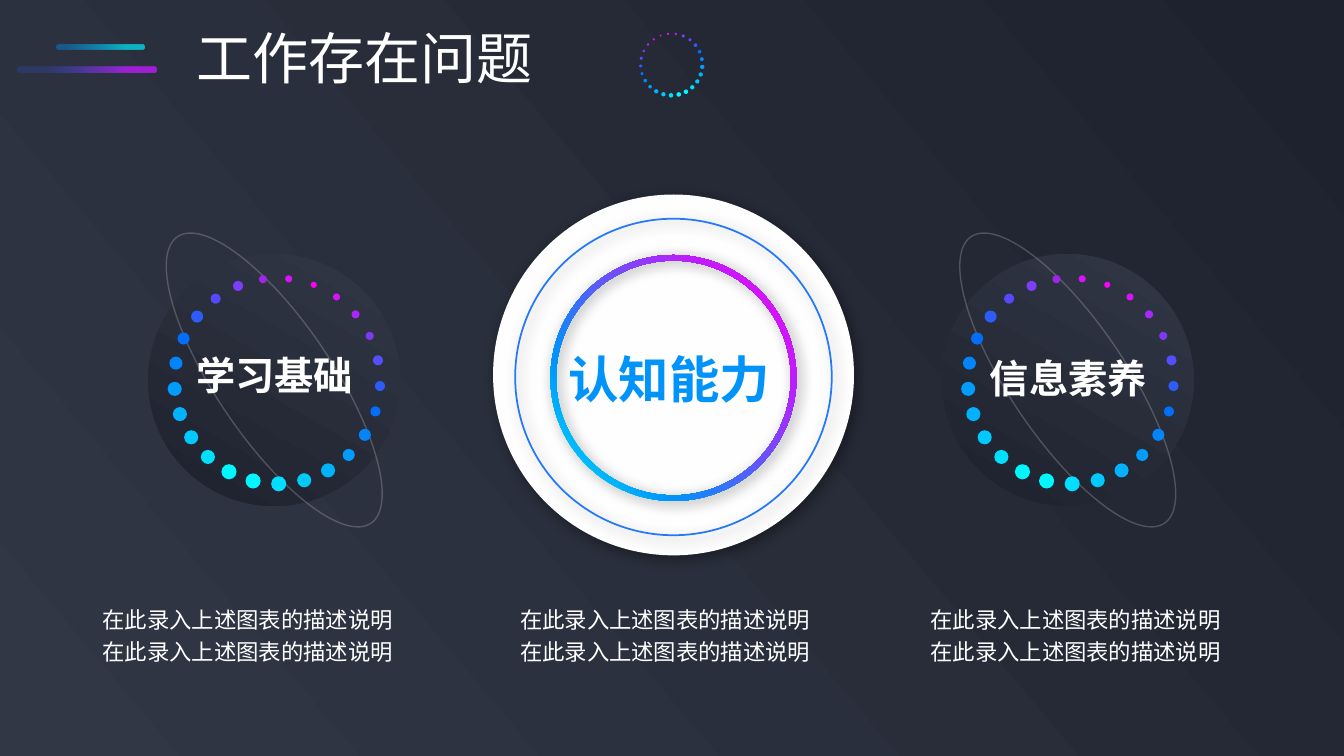
import math
from dataclasses import dataclass

import lxml.etree
import pptx
import pptx.dml.color
import pptx.enum.shapes
import pptx.enum.text
import pptx.oxml.ns
import pptx.util

Inches = pptx.util.Inches
Shape = pptx.enum.shapes.MSO_SHAPE
qn = pptx.oxml.ns.qn

TITLE = ("工作存在问题", (1.85, 0.18, 3.57, 0.77))
SIDE_LABELS = [("学习基础", (1.85, 3.44, 1.78, 0.57)),
               ("信息素养", (9.72, 3.47, 1.78, 0.57))]
CENTRE_LABEL = ("认知能力", (5.54, 3.4, 2.23, 0.71))
DESCRIPTION = "在此录入上述图表的描述说明" * 2
DESCRIPTION_LEFTS = [0.92, 5.06, 9.13]
PLANET_CENTRES = [(2.72, 3.77), (10.59, 3.77)]
DIAL_CENTRE = (6.68, 3.72)

# Dots of a ring in order: colour, diameter
DOTS = [
    ("01DEFF", 0.15), ("00F7FF", 0.15), ("00F7FF", 0.15), ("00DFFE", 0.14), ("01C9FD", 0.14),
    ("02B2FD", 0.14), ("029CFD", 0.14), ("0285FB", 0.13), ("036EFA", 0.12), ("2D5CFA", 0.12),
    ("5748FD", 0.1), ("7D3EFC", 0.1), ("9F26E7", 0.08), ("D813FB", 0.07), ("FC02F9", 0.06),
    ("D912FC", 0.07), ("AA27FB", 0.08), ("7F39F6", 0.08), ("564EFC", 0.1), ("2E5CFB", 0.1),
    ("026FF9", 0.1), ("0384FB", 0.12), ("029CFB", 0.12), ("02B2FD", 0.14), ("01C9FD", 0.14),
]
DOT_RADIUS = 1.02
DOT_START = 89.2


@dataclass(frozen=True)
class Theme:
    font: str = "Noto Sans CJK SC"
    white: str = "FFFFFF"
    disc: str = "FEFEFE"
    accent: str = "0094FA"
    inner_line: str = "2478FA"
    title_size: int = 40
    centre_size: int = 36
    side_size: int = 28
    body_size: int = 16
    # Gradient stops: position, colour, opacity
    night: tuple = ((0, "313745", 100), (100, "1E222E", 100))
    neon: tuple = ((0, "00ECFE", 100), (27, "0094FA", 100),
                   (76, "BE1DFB", 100), (100, "FC02F9", 100))
    cyan_bar: tuple = ((10, "0094FA", 40), (79, "00ECFE", 70))
    purple_bar: tuple = ((20, "3558FB", 20), (79, "BE1DFB", 80))


THEME = Theme()


def rgb(colour):
    return pptx.dml.color.RGBColor.from_string(colour)


def add_color(parent, colour, opacity):
    node = lxml.etree.SubElement(parent, qn("a:srgbClr"), val=colour)
    if opacity < 100:
        lxml.etree.SubElement(node, qn("a:alpha"), val=str(opacity * 1000))


def set_gradient(fill, properties, stops, angle):
    """Fill with a linear gradient; the angle is clockwise in degrees."""
    fill.gradient()
    gradient = properties.find(qn("a:gradFill"))
    for child in list(gradient):
        gradient.remove(child)
    stop_list = lxml.etree.SubElement(gradient, qn("a:gsLst"))
    for position, colour, opacity in stops:
        stop = lxml.etree.SubElement(stop_list, qn("a:gs"), pos=str(position * 1000))
        add_color(stop, colour, opacity)
    lxml.etree.SubElement(gradient, qn("a:lin"), ang=str(angle * 60000), scaled="0")


def add_figure(shapes, kind, center, width, height, fill=None, gradient=None, angle=0):
    x, y = center
    figure = shapes.add_shape(kind, Inches(x - width / 2), Inches(y - height / 2),
                              Inches(width), Inches(height))
    figure.shadow.inherit = False
    figure.line.fill.background()
    if gradient:
        set_gradient(figure.fill, figure._element.spPr, gradient, angle)
    elif fill:
        figure.fill.solid()
        figure.fill.fore_color.rgb = rgb(fill)
    else:
        figure.fill.background()
    return figure


def set_line(figure, colour, width, opacity=100):
    figure.line.width = pptx.util.Pt(width)
    figure.line.color.rgb = rgb(colour)
    if opacity < 100:
        color = figure.line._ln.find(".//" + qn("a:srgbClr"))
        lxml.etree.SubElement(color, qn("a:alpha"), val=str(opacity * 1000))


def cast_shadow(figure):
    effects = figure._element.spPr.find(qn("a:effectLst"))
    shadow = lxml.etree.SubElement(
        effects, qn("a:outerShdw"), blurRad=str(pptx.util.Pt(10)), dist=str(pptx.util.Pt(3)),
        dir=str(45 * 60000), algn="tl", rotWithShape="0")
    add_color(shadow, "000000", 40)


def draw_dot_ring(shapes, center, scale=1, direction=1):
    """Set the dots evenly round a circle; direction -1 mirrors the ring."""
    ring = shapes.add_group_shape()
    for index, (colour, diameter) in enumerate(DOTS):
        angle = math.radians(DOT_START + index * 360 / len(DOTS))
        dot_center = (center[0] + direction * scale * DOT_RADIUS * math.cos(angle),
                      center[1] + scale * DOT_RADIUS * math.sin(angle))
        add_figure(ring.shapes, Shape.OVAL, dot_center, diameter * scale, diameter * scale, colour)


def draw_planet(shapes, center):
    x, y = center
    add_figure(shapes, Shape.OVAL, center, 2.5, 2.5, gradient=THEME.night, angle=120)
    orbit = add_figure(shapes, Shape.OVAL, center, 1.15, 3.43)
    orbit.rotation = 326
    set_line(orbit, THEME.white, 1, 20)
    draw_dot_ring(shapes, (x + 0.03, y + 0.01))


def draw_dial(shapes, center):
    disc = add_figure(shapes, Shape.OVAL, center, 3.58, 3.58, THEME.disc)
    ring = add_figure(shapes, Shape.DONUT, (center[0], center[1] + 0.03), 2.44, 2.44,
                      gradient=THEME.neon, angle=320)
    ring.adjustments[0] = 0.023
    circle = add_figure(shapes, Shape.OVAL, (center[0], center[1] + 0.02), 3.14, 3.14)
    set_line(circle, THEME.inner_line, 1.25)
    for figure in (disc, ring, circle):
        cast_shadow(figure)


def write_text(box, text, place, size, colour=THEME.white, bold=False, wrap=False, spacing=None):
    box.left, box.top, box.width, box.height = map(Inches, place)
    frame = box.text_frame
    frame.word_wrap = wrap
    frame.auto_size = pptx.enum.text.MSO_AUTO_SIZE.SHAPE_TO_FIT_TEXT
    frame.vertical_anchor = pptx.enum.text.MSO_ANCHOR.TOP
    para = frame.paragraphs[0]
    para.text = text
    para.alignment = pptx.enum.text.PP_ALIGN.LEFT
    if spacing:
        para.line_spacing = spacing
    font = para.font
    font.name = THEME.font
    font.size = pptx.util.Pt(size)
    font.bold = bold
    font.color.rgb = rgb(colour)
    latin = para._p.find(".//" + qn("a:latin"))
    latin.addnext(latin.makeelement(qn("a:ea"), {"typeface": THEME.font}))


def add_label(shapes, text, place, size, **style):
    write_text(shapes.add_textbox(*map(Inches, place)), text, place, size, **style)


def main():
    deck = pptx.Presentation()
    deck.slide_width, deck.slide_height = Inches(13.33), Inches(7.5)
    page = deck.slides.add_slide(deck.slide_layouts[5])
    shapes = page.shapes
    background = page.background.fill
    set_gradient(background, page._element.cSld.bg.bgPr, THEME.night, 320)

    write_text(shapes.title, *TITLE, THEME.title_size)
    draw_dot_ring(shapes, (6.66, 0.64), scale=0.3, direction=-1)
    for center, length, stops in [((0.86, 0.69), 1.38, THEME.purple_bar),
                                  ((1, 0.47), 0.87, THEME.cyan_bar)]:
        bar = add_figure(shapes, Shape.ROUNDED_RECTANGLE, center, length, 0.05, gradient=stops)
        bar.adjustments[0] = 0.42

    for center in PLANET_CENTRES:
        draw_planet(shapes, center)
    draw_dial(shapes, DIAL_CENTRE)

    for text, place in SIDE_LABELS:
        add_label(shapes, text, place, THEME.side_size, bold=True)
    add_label(shapes, *CENTRE_LABEL, THEME.centre_size, colour=THEME.accent, bold=True)
    for left in DESCRIPTION_LEFTS:
        add_label(shapes, DESCRIPTION, (left, 5.91, 3.23, 0.75), THEME.body_size,
                  wrap=True, spacing=1.2)
    deck.save("out.pptx")


if __name__ == "__main__":
    main()
